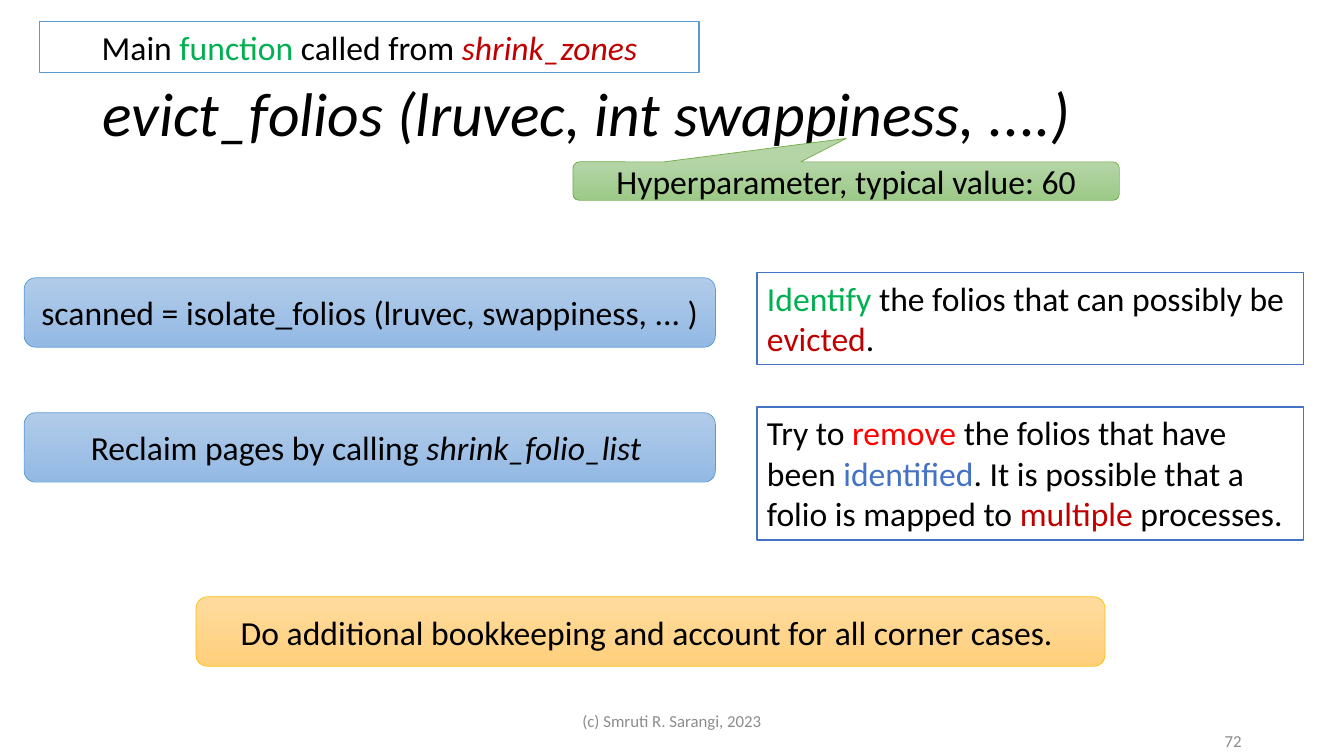
import pptx
from pptx.dml.color import RGBColor
from pptx.enum.shapes import MSO_SHAPE
from pptx.enum.text import MSO_ANCHOR, MSO_AUTO_SIZE, PP_ALIGN
from pptx.util import Cm, Pt

BLACK = RGBColor(0x00, 0x00, 0x00)
WHITE = RGBColor(0xFF, 0xFF, 0xFF)
GRAY = RGBColor(0x8C, 0x8C, 0x8C)
GREEN = RGBColor(0x00, 0xB0, 0x50)
RED = RGBColor(0xFF, 0x00, 0x00)
DARK_RED = RGBColor(0xC0, 0x00, 0x00)
BLUE = RGBColor(0x44, 0x72, 0xC4)
LIGHT_BLUE = RGBColor(0x5B, 0x9B, 0xD5)

# Gradient top, gradient bottom, outline
BLUE_STEP = (RGBColor(0xB1, 0xCB, 0xE9), RGBColor(0x93, 0xB9, 0xE4), LIGHT_BLUE)
GREEN_HINT = (RGBColor(0xB5, 0xD5, 0xA7), RGBColor(0x9C, 0xC9, 0x87),
              RGBColor(0x70, 0xAD, 0x47))
GOLD_STEP = (RGBColor(0xFF, 0xDB, 0x9E), RGBColor(0xFF, 0xD0, 0x7C),
             RGBColor(0xFF, 0xC0, 0x00))

FONT = "Calibri"
STEP_LEFT, STEP_WIDTH, STEP_HEIGHT = Cm(0.61), Cm(17.42), Cm(1.75)
NOTE_LEFT, NOTE_WIDTH = Cm(19.08), Cm(13.77)


def write(frame, runs, size=24, align=PP_ALIGN.CENTER, anchor=MSO_ANCHOR.MIDDLE,
          color=BLACK):
    """Fill a frame with one paragraph of (text, colour, italic) runs.

    Colour and italic may be left out of a run.
    """
    frame.word_wrap = True
    frame.vertical_anchor = anchor
    paragraph = frame.paragraphs[0]
    paragraph.alignment = align
    paragraph.font.name = FONT
    paragraph.font.size = Pt(size)
    paragraph.font.color.rgb = color
    for text, *style in runs:
        run = paragraph.add_run()
        run.text = text
        if style and style[0] != color:
            run.font.color.rgb = style[0]
        if len(style) > 1:
            run.font.italic = style[1]
    return paragraph


def add_gradient_box(slide, kind, left, top, width, height, colors, runs):
    box = slide.shapes.add_shape(kind, left, top, width, height)
    box.shadow.inherit = False
    top_color, bottom_color, outline = colors
    box.fill.gradient()
    box.fill.gradient_angle = 270
    for stop, color in zip(box.fill.gradient_stops, (top_color, bottom_color)):
        stop.color.rgb = color
    box.line.color.rgb = outline
    box.line.width = Pt(0.5)
    write(box.text_frame, runs)
    return box


def add_step(slide, left, top, width, colors, runs):
    add_gradient_box(slide, MSO_SHAPE.ROUNDED_RECTANGLE, left, top, width,
                     STEP_HEIGHT, colors, runs)


def add_outlined_box(slide, left, top, width, height, outline, runs, **layout):
    box = slide.shapes.add_shape(MSO_SHAPE.RECTANGLE, left, top, width, height)
    box.shadow.inherit = False
    box.fill.solid()
    box.fill.fore_color.rgb = WHITE
    box.line.color.rgb = outline
    box.line.width = Pt(1)
    write(box.text_frame, runs, **layout)


def add_note(slide, top, height, runs):
    add_outlined_box(slide, NOTE_LEFT, top, NOTE_WIDTH, height, BLUE, runs,
                     align=PP_ALIGN.LEFT, anchor=MSO_ANCHOR.TOP)


def add_footer(slide, left, top, width, text, align):
    footer = slide.shapes.add_textbox(left, top, width, Cm(1.02))
    write(footer.text_frame, [(text,)], size=12, align=align, color=GRAY)


def set_title(slide, text):
    title = slide.shapes.title
    title.left, title.top = Cm(2.33), Cm(1.7)
    title.width, title.height = Cm(29.21), Cm(2.46)
    title.text_frame.auto_size = MSO_AUTO_SIZE.NONE
    paragraph = write(title.text_frame, [(text,)], size=44, align=PP_ALIGN.LEFT)
    paragraph.font.italic = True
    paragraph.line_spacing = 0.9


def main():
    deck = pptx.Presentation()
    deck.slide_width, deck.slide_height = Cm(33.87), Cm(19.05)
    slide = deck.slides.add_slide(deck.slide_layouts.get_by_name("Title Only"))

    set_title(slide, "evict_folios (lruvec, int swappiness, ....)")
    add_footer(slide, Cm(11.22), Cm(17.66), Cm(11.43),
               "(c) Smruti R. Sarangi, 2023", PP_ALIGN.CENTER)
    add_footer(slide, Cm(23.92), Cm(18.16), Cm(7.62), "72", PP_ALIGN.RIGHT)

    hint = add_gradient_box(
        slide, MSO_SHAPE.ROUNDED_RECTANGULAR_CALLOUT, Cm(14.44), Cm(4.08),
        Cm(13.77), Cm(0.97), GREEN_HINT, [("Hyperparameter, typical value: 60",)])
    hint.adjustments[0] = 0
    hint.adjustments[1] = -1.11

    add_step(slide, STEP_LEFT, Cm(7), STEP_WIDTH, BLUE_STEP,
             [("scanned = isolate_folios (lruvec, swappiness, ... )",)])
    add_note(slide, Cm(6.87), Cm(2.31), [
        ("Identify", GREEN), (" the folios that can possibly be ",),
        ("evicted", DARK_RED), (".",)])

    add_step(slide, STEP_LEFT, Cm(10.4), STEP_WIDTH, BLUE_STEP, [
        ("Reclaim pages by calling ",), ("shrink_folio_list ", BLACK, True)])
    add_note(slide, Cm(10.26), Cm(3.35), [
        ("Try to ",), ("remove", RED), (" the folios that have been ",),
        ("identified", BLUE), (". It is possible that a folio is mapped to ",),
        ("multiple", DARK_RED), (" processes.",)])

    add_step(slide, Cm(4.94), Cm(15.04), Cm(22.91), GOLD_STEP,
             [("Do additional bookkeeping and account for all corner cases. ",)])
    add_outlined_box(slide, Cm(1), Cm(0.54), Cm(16.62), Cm(1.29), LIGHT_BLUE, [
        ("Main ",), ("function", GREEN), (" called from ",),
        ("shrink_zones", DARK_RED, True)])

    deck.save("out.pptx")


if __name__ == "__main__":
    main()
